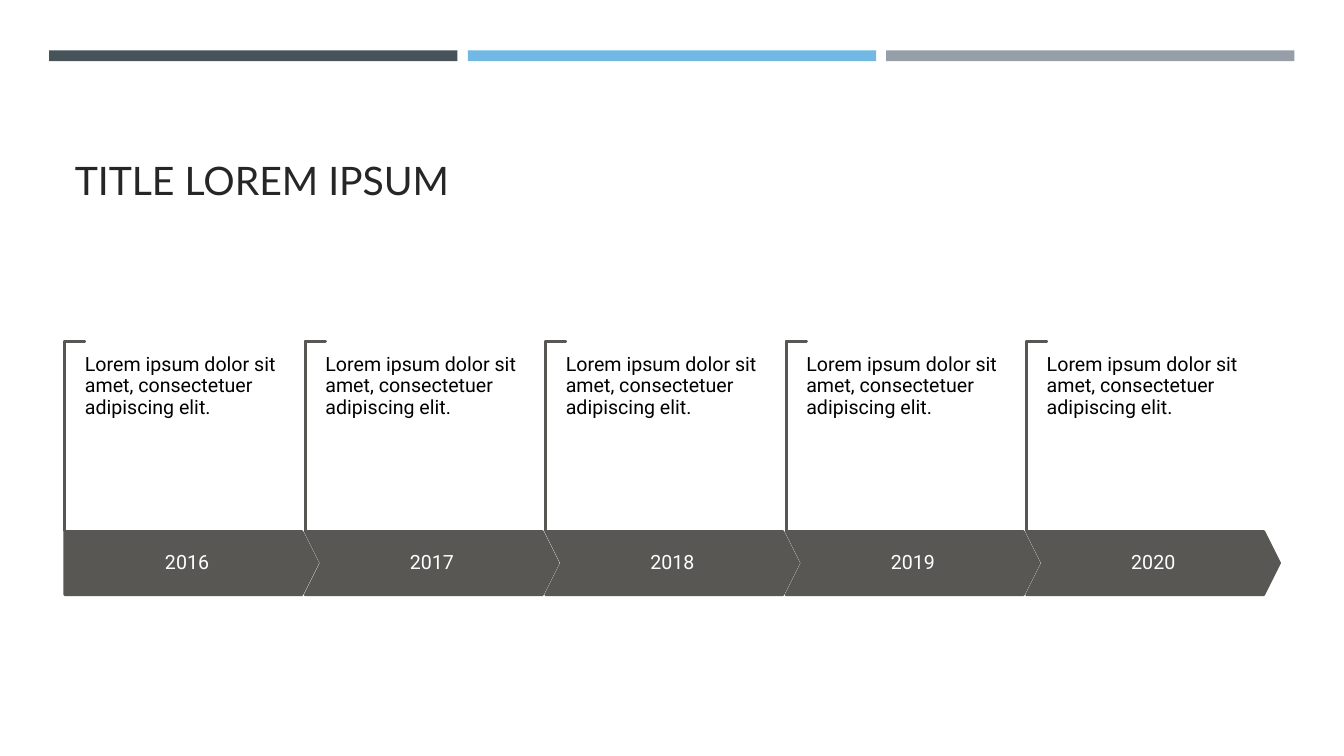
from dataclasses import dataclass

from pptx import Presentation
from pptx.dml.color import RGBColor
from pptx.enum import shapes, text
from pptx.shapes.autoshape import Shape
from pptx.slide import Slide
from pptx.util import Cm, Pt

GRAY = "585753"
SHAPE = shapes.MSO_SHAPE
ALIGN = text.PP_ALIGN
ANCHOR = text.MSO_ANCHOR

FIRST_LEFT = 1.63
PITCH = 6.06
BAND_TOP, BAND_HEIGHT = 13.39, 1.6
ARROW_WIDTH = 6.38
BRACKET_LENGTH, BRACKET_DEPTH = 4.78, 0.51
BRACKET_CENTER_Y = 10.99


@dataclass
class Area:
    left: float
    top: float
    width: float
    height: float

    def lengths(self) -> tuple[Cm, Cm, Cm, Cm]:
        return Cm(self.left), Cm(self.top), Cm(self.width), Cm(self.height)


@dataclass
class Stripe:
    left: float
    color: str


@dataclass
class Milestone:
    year: str
    description: str


STRIPES = [Stripe(1.24, "465359"), Stripe(11.79, "71B9E4"), Stripe(22.33, "969FA7")]
DESCRIPTION = "Lorem ipsum dolor sit amet, consectetuer adipiscing elit."
MILESTONES = [Milestone(str(year), DESCRIPTION) for year in range(2016, 2021)]


def rgb(color: str) -> RGBColor:
    return RGBColor.from_string(color)


def add_figure(page: Slide, kind: SHAPE, area: Area, fill: str, line: str = "") -> Shape:
    figure = page.shapes.add_shape(kind, *area.lengths())
    figure.shadow.inherit = False
    figure.fill.solid()
    figure.fill.fore_color.rgb = rgb(fill)
    if line:
        figure.line.color.rgb = rgb(line)
        figure.line.width = Pt(1.75)
    else:
        figure.line.fill.background()
    return figure


def write(box: Shape, words: str, font: str, size: float, color: str,
          align: ALIGN = ALIGN.LEFT, spacing: float = 1.0) -> None:
    para = box.text_frame.paragraphs[0]
    para.alignment = align
    para.line_spacing = spacing
    span = para.add_run()
    span.text = words
    span.font.name = font
    span.font.size = Pt(size)
    span.font.color.rgb = rgb(color)


def add_text(page: Slide, area: Area, words: str, color: str, align: ALIGN,
             anchor: ANCHOR, side_inset: float, end_inset: float) -> None:
    box = page.shapes.add_textbox(*area.lengths())
    frame = box.text_frame
    frame.word_wrap = True
    frame.vertical_anchor = anchor
    frame.margin_left = frame.margin_right = Cm(side_inset)
    frame.margin_top = frame.margin_bottom = Cm(end_inset)
    write(box, words, "Roboto", 14, color, align, 0.9)


def add_title(page: Slide, words: str) -> None:
    title = page.shapes.title
    title.left, title.top, title.width, title.height = Area(1.63, 1.96, 30.63, 3.3).lengths()
    title.text_frame.vertical_anchor = ANCHOR.BOTTOM
    write(title, words, "Lato", 28, "262626")


def add_milestone(page: Slide, index: int, milestone: Milestone) -> None:
    left = FIRST_LEFT + index * PITCH
    is_first = index == 0

    bracket_area = Area(left + (BRACKET_DEPTH - BRACKET_LENGTH) / 2,
                        BRACKET_CENTER_Y - BRACKET_DEPTH / 2,
                        BRACKET_LENGTH, BRACKET_DEPTH)
    bracket = add_figure(page, SHAPE.CORNER, bracket_area, "EBDDC3", GRAY)
    bracket.rotation = 90
    bracket.adjustments[0] = bracket.adjustments[1] = 0.01

    arrow = add_figure(page, SHAPE.PENTAGON if is_first else SHAPE.CHEVRON,
                       Area(left, BAND_TOP, ARROW_WIDTH, BAND_HEIGHT), GRAY, GRAY)
    arrow.adjustments[0] = 0.25

    label_shift, label_width = (0, 6.17) if is_first else (0.4, 5.59)
    add_text(page, Area(left + label_shift, BAND_TOP, label_width, BAND_HEIGHT),
             milestone.year, "FFFFFF", ALIGN.CENTER, ANCHOR.MIDDLE, 0.25, 0.48)
    add_text(page, Area(left + BRACKET_DEPTH, 8.94, 5.18, 3),
             milestone.description, "000000", ALIGN.LEFT, ANCHOR.TOP, 0, 0)


def main() -> None:
    deck = Presentation()
    deck.slide_width, deck.slide_height = Cm(33.87), Cm(19.05)
    page = deck.slides.add_slide(deck.slide_layouts.get_by_name("Title Only"))
    for stripe in STRIPES:
        add_figure(page, SHAPE.RECTANGLE, Area(stripe.left, 1.27, 10.29, 0.27), stripe.color)
    add_title(page, "TITLE LOREM IPSUM")
    for index, milestone in enumerate(MILESTONES):
        add_milestone(page, index, milestone)
    deck.save("out.pptx")


if __name__ == "__main__":
    main()
